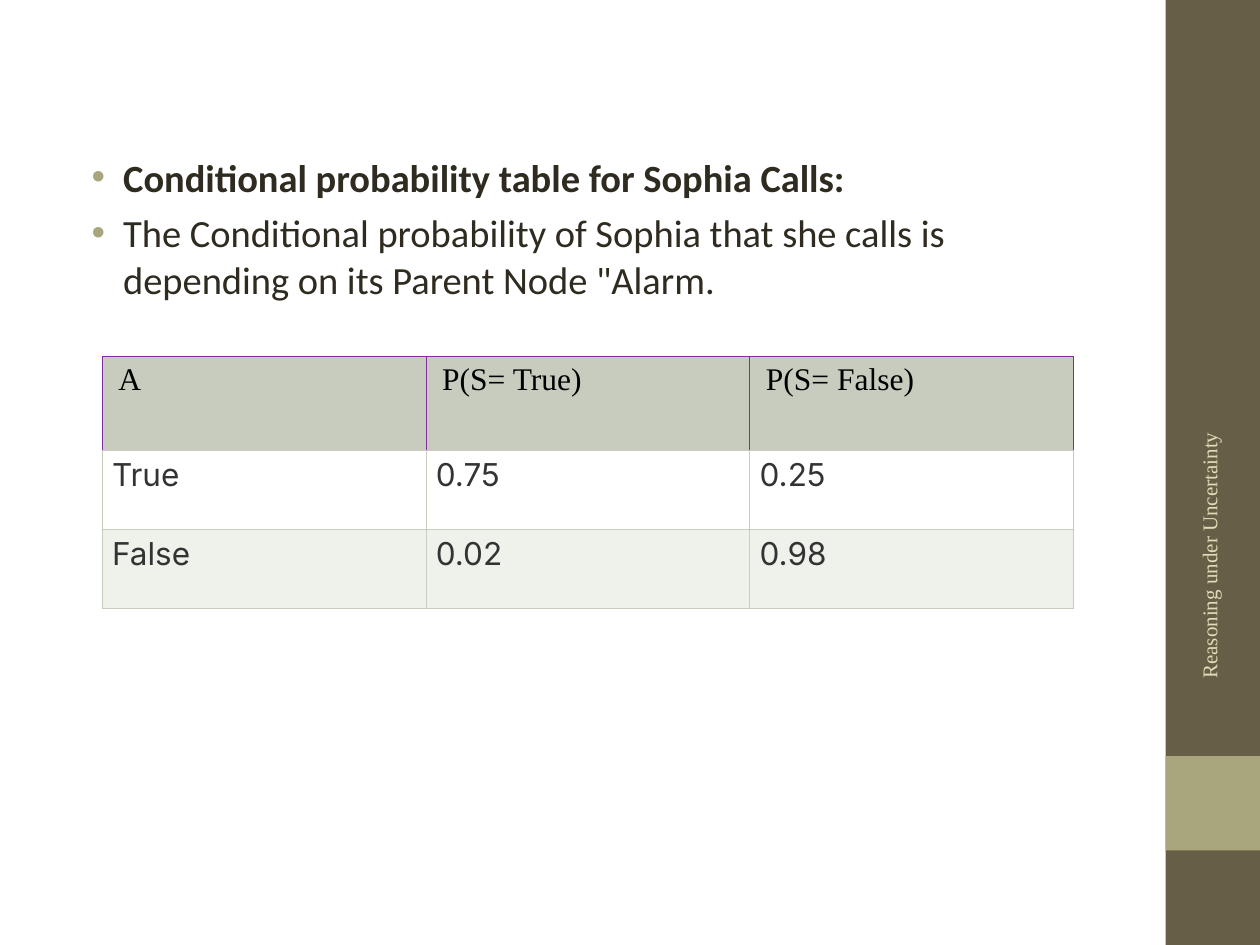
from lxml.etree import SubElement
from pptx import Presentation
from pptx.dml.color import RGBColor
from pptx.enum.shapes import MSO_SHAPE as Shape
from pptx.enum.text import MSO_ANCHOR as Anchor, PP_ALIGN as Align
from pptx.oxml.ns import qn
from pptx.util import Inches, Pt

BROWN = RGBColor(0x67, 0x5E, 0x47)
OLIVE = RGBColor(0xA9, 0xA5, 0x7C)
DARK = RGBColor(0x2F, 0x2B, 0x20)
CREAM = RGBColor(0xDF, 0xDC, 0xB7)
SAGE = RGBColor(0xC7, 0xCC, 0xBE)
PALE = RGBColor(0xEF, 0xF1, 0xEB)
PURPLE = RGBColor(0x80, 0x2D, 0xA2)
GRAY = RGBColor(0x33, 0x33, 0x33)
BLACK = RGBColor(0, 0, 0)
WHITE = RGBColor(0xFF, 0xFF, 0xFF)

BODY = {"name": "Calibri", "size": Pt(22)}
SIDE = {"name": "Times New Roman", "size": Pt(12)}
HEAD = {"name": "Times New Roman", "size": Pt(18)}
DATA = {"name": "Inter", "size": Pt(18)}

BULLETS = [
    ("Conditional probability table for Sophia Calls:", True),
    ("The Conditional probability of Sophia that she calls is "
     "depending on its Parent Node \"Alarm.", False),
]
ROWS = [
    ("A", "P(S= True)", "P(S= False)"),
    ("True", "0.75", "0.25"),
    ("False", "0.02", "0.98"),
]
ROW_HEIGHTS = [0.74, 0.63, 0.63]
ROW_FILLS = [SAGE, WHITE, PALE]


def add_block(page, color, *bounds):
    block = page.shapes.add_shape(Shape.RECTANGLE, *map(Inches, bounds))
    block.shadow.inherit = False
    block.fill.solid()
    block.fill.fore_color.rgb = color
    block.line.fill.background()


def add_text_box(page, *bounds):
    box = page.shapes.add_textbox(*map(Inches, bounds))
    box.text_frame.word_wrap = True
    return box


def add_span(para, text, color, formats):
    span = para.add_run()
    span.text = text
    span.font.color.rgb = color
    for key, value in formats.items():
        setattr(span.font, key, value)


def set_bullet(para, color):
    props = para._p.get_or_add_pPr()
    props.set("marL", str(Inches(0.38)))
    props.set("indent", str(Inches(-0.25)))
    tint = SubElement(props, qn("a:buClr"))
    SubElement(tint, qn("a:srgbClr"), val=str(color))
    SubElement(props, qn("a:buFont"), typeface="Arial")
    SubElement(props, qn("a:buChar"), char="•")


def add_bullets(page):
    frame = add_text_box(page, 0.5, 1.17, 8.33, 5.83).text_frame
    for index, (text, bold) in enumerate(BULLETS):
        para = frame.add_paragraph() if index else frame.paragraphs[0]
        para.space_before = Pt(5.5)
        set_bullet(para, OLIVE)
        add_span(para, text, DARK, {**BODY, "bold": bold})


def add_side_label(page, text):
    box = add_text_box(page, 8.3, 4.43, 2.59, 0.4)
    box.rotation = 270
    box.text_frame.vertical_anchor = Anchor.MIDDLE
    para = box.text_frame.paragraphs[0]
    para.alignment = Align.RIGHT
    add_span(para, text, CREAM, SIDE)


def set_borders(cell, colors):
    props = cell._tc.get_or_add_tcPr()
    for side, color in zip(("lnL", "lnR", "lnT", "lnB"), colors):
        line = SubElement(props, qn(f"a:{side}"), w=str(Pt(0.34)))
        fill = SubElement(line, qn("a:solidFill"))
        SubElement(fill, qn("a:srgbClr"), val=str(color))


def fill_cell(cell, text, fill, is_head):
    set_borders(cell, [PURPLE] * 3 + [SAGE] if is_head else [SAGE] * 4)
    cell.fill.solid()
    cell.fill.fore_color.rgb = fill
    cell.margin_left = cell.margin_right = Inches(0.13 if is_head else 0.08)
    para = cell.text_frame.paragraphs[0]
    if is_head:
        add_span(para, text, BLACK, {**HEAD, "bold": False})
    else:
        para.alignment = Align.JUSTIFY
        add_span(para, text, GRAY, DATA)


def add_probability_table(page):
    bounds = map(Inches, (0.81, 2.83, 7.71, 2))
    table = page.shapes.add_table(len(ROWS), len(ROWS[0]), *bounds).table
    for column in table.columns:
        column.width = Inches(2.57)
    for r, (texts, height, fill) in enumerate(zip(ROWS, ROW_HEIGHTS, ROW_FILLS)):
        table.rows[r].height = Inches(height)
        for c, text in enumerate(texts):
            fill_cell(table.cell(r, c), text, fill, is_head=r == 0)


def main():
    deck = Presentation()
    deck.slide_width, deck.slide_height = Inches(10), Inches(7.5)
    page = deck.slides.add_slide(deck.slide_layouts[6])

    # Side band
    add_block(page, BROWN, 9.25, 0, 0.75, 7.5)
    add_block(page, OLIVE, 9.25, 6, 0.75, 0.75)

    # Content
    add_bullets(page)
    add_side_label(page, "Reasoning under Uncertainty")
    add_probability_table(page)

    deck.save("out.pptx")


if __name__ == "__main__":
    main()
